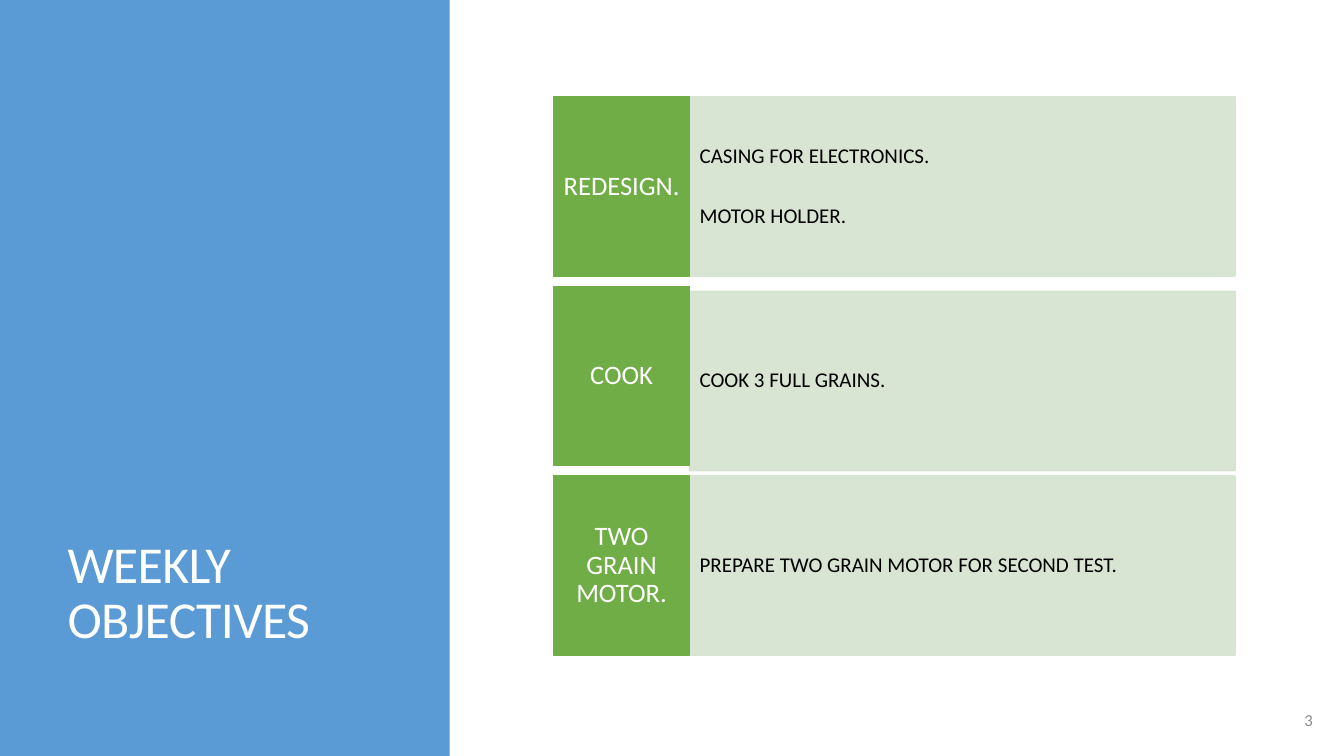
from lxml.etree import SubElement
from pptx import Presentation
from pptx.dml.color import RGBColor
from pptx.enum.shapes import MSO_SHAPE as Shape
from pptx.enum.text import MSO_ANCHOR as Anchor, PP_ALIGN as Align
from pptx.oxml.ns import qn
from pptx.util import Inches, Pt

BLUE, GREEN, PALE = "5B9BD5", "70AD47", "D5E3CF"
WHITE, BLACK, GREY = "FFFFFF", "000000", "8C8C8C"


def rgb(hex_string):
    """Turn a hex string into a colour."""
    return RGBColor.from_string(hex_string)


def set_opacity(fill, percent):
    """Make a solid fill partly transparent."""
    color = fill._xPr.find(qn("a:solidFill"))[0]
    SubElement(color, qn("a:alpha")).set("val", str(percent * 1000))


class SlideBuilder:
    """Holds the text style and the current slide."""

    font = "Calibri"

    def __init__(self, slide):
        """Keep the slide to draw on."""
        self.slide = slide

    def set_text(self, shape, lines, size, color, align=Align.LEFT,
                 anchor=Anchor.MIDDLE, insets=(0.1, 0.05), gap=0):
        """Set the text of a shape, one paragraph a line."""
        frame = shape.text_frame
        frame.text = "\n".join(lines)
        frame.word_wrap = True
        frame.vertical_anchor = anchor
        frame.margin_left = frame.margin_right = Inches(insets[0])
        frame.margin_top = frame.margin_bottom = Inches(insets[1])
        for index, paragraph in enumerate(frame.paragraphs):
            paragraph.alignment = align
            paragraph.line_spacing = 0.9
            paragraph.space_before = Pt(gap if index else 0)
            for run in paragraph.runs:
                run.font.name = self.font
                run.font.size = Pt(size)
                run.font.color.rgb = rgb(color)

    def box(self, left, top, width, height, color, outlined=True, opacity=100):
        """Add a filled rectangle."""
        shape = self.slide.shapes.add_shape(
            Shape.RECTANGLE, Inches(left), Inches(top), Inches(width), Inches(height))
        shape.shadow.inherit = False
        fills = [shape.fill]
        if outlined:
            shape.line.width = Pt(1)
            fills.append(shape.line.fill)
        else:
            shape.line.fill.background()
        for fill in fills:
            fill.solid()
            fill.fore_color.rgb = rgb(color)
            if opacity < 100:
                set_opacity(fill, opacity)
        return shape

    def title(self, text, left, top, width, height):
        """Place the title in front of what is drawn so far."""
        title = self.slide.shapes.title
        title.left, title.top = Inches(left), Inches(top)
        title.width, title.height = Inches(width), Inches(height)
        self.set_text(title, [text], 37, WHITE, anchor=Anchor.BOTTOM)
        for run in title.text_frame.paragraphs[0].runs:
            run.font._element.set("spc", "-40")
        self.slide.shapes._spTree.append(title._element)

    def label(self, text, left, top, width, height, size, color, align):
        """Add a text box."""
        label = self.slide.shapes.add_textbox(
            Inches(left), Inches(top), Inches(width), Inches(height))
        self.set_text(label, [text], size, color, align)

    def objective(self, heading, details, heading_top, details_top):
        """Add one objective: details on the right, heading on the left."""
        details_box = self.box(6.84, details_top, 5.41, ROW_HEIGHT, PALE, opacity=90)
        self.set_text(details_box, details, 15, BLACK, insets=(0.1, 0.45), gap=26.5)
        heading_box = self.box(5.49, heading_top, 1.35, ROW_HEIGHT, GREEN)
        self.set_text(heading_box, [heading], 19, WHITE, Align.CENTER, insets=(0.07, 0.18))


FIRST_TOP, ROW_HEIGHT, ROW_STEP = 0.96, 1.78, 1.88
# Heading, details, downward shift of the details box
OBJECTIVES = [
    ("REDESIGN.", ["CASING FOR ELECTRONICS.", "MOTOR HOLDER."], 0),
    ("COOK", ["COOK 3 FULL GRAINS."], 0.05),
    ("TWO GRAIN MOTOR.", ["PREPARE TWO GRAIN MOTOR FOR SECOND TEST."], 0),
]

deck = Presentation()
deck.slide_width, deck.slide_height = Inches(13.33), Inches(7.5)
builder = SlideBuilder(deck.slides.add_slide(deck.slide_layouts[5]))

builder.box(0, 0, 4.46, 7.5, BLUE, outlined=False)
builder.title("WEEKLY OBJECTIVES", 0.57, 0.51, 3.45, 5.99)
builder.label("3", 12.43, 6.95, 0.69, 0.4, 12, GREY, Align.RIGHT)
for row, (heading, details, shift) in enumerate(OBJECTIVES):
    row_top = FIRST_TOP + row * ROW_STEP
    builder.objective(heading, details, row_top, row_top + shift)

deck.save("out.pptx")
